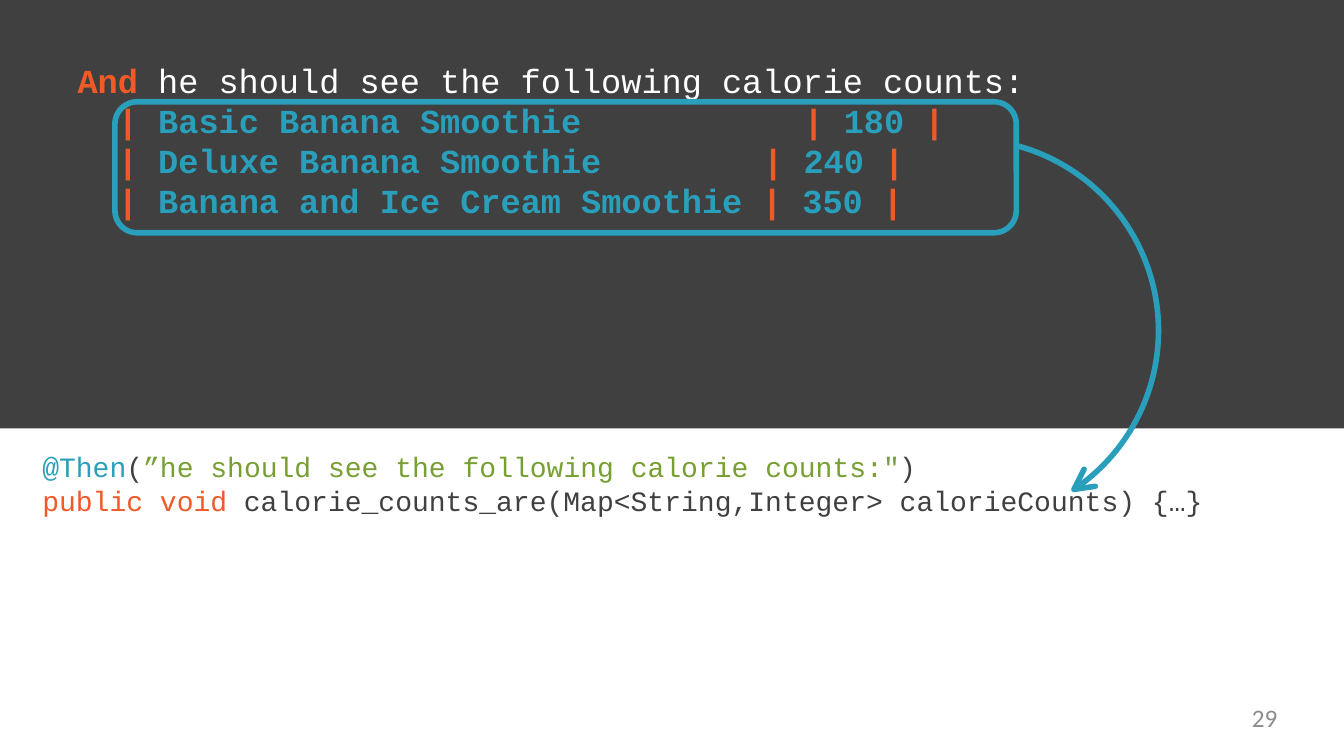
"""Builds a slide that maps a calorie table in a scenario to its step definition."""
from dataclasses import dataclass
from math import cos, radians, sin

from lxml import etree
from pptx import Presentation
from pptx.dml.color import RGBColor
from pptx.enum.shapes import MSO_SHAPE
from pptx.enum.text import PP_ALIGN
from pptx.oxml.ns import qn
from pptx.util import Inches, Pt

RECTANGLE = MSO_SHAPE.RECTANGLE
ROUNDED_RECTANGLE = MSO_SHAPE.ROUNDED_RECTANGLE
LEFT = PP_ALIGN.LEFT
RIGHT = PP_ALIGN.RIGHT


@dataclass(frozen=True)
class Theme:
    dark: str = "404040"
    white: str = "FFFFFF"
    orange: str = "EF5A28"
    teal: str = "2A9FBB"
    green: str = "779F31"
    grey: str = "8C8C8C"
    code_font: str = "Courier New"
    number_font: str = "Calibri"
    scenario_size: float = 24
    code_size: float = 20
    number_size: float = 18
    line_width: float = 4


@dataclass(frozen=True)
class Span:
    text: str
    color: str
    bold: bool = False


@dataclass(frozen=True)
class Line:
    spans: list[Span]
    indent: float = 0.01
    tab: float | None = None


@dataclass(frozen=True)
class Box:
    left: float
    top: float
    width: float
    height: float


THEME = Theme()


def calorie_row(name: str, gap: str, count: int, **layout) -> Line:
    """Return one row of the scenario's calorie table."""
    bar, end = Span("| ", THEME.orange, True), Span("|", THEME.orange, True)
    return Line([bar, Span(name + gap, THEME.teal, True), bar,
                 Span(f"{count} ", THEME.teal, True), end], **layout)


def add_text(slide, box: Box, lines: list[Line], *, size: float, font: str = THEME.code_font,
             align=LEFT, inset: float = 0.01, spacing: int = -4) -> None:
    """Add a text box holding coloured lines."""
    shape = slide.shapes.add_textbox(*map(Inches, (box.left, box.top, box.width, box.height)))
    frame = shape.text_frame
    frame.word_wrap = True
    frame.margin_left = frame.margin_right = frame.margin_bottom = 0
    frame.margin_top = Inches(inset)
    for index, line in enumerate(lines):
        paragraph = frame.add_paragraph() if index else frame.paragraphs[0]
        paragraph.alignment = align
        properties = paragraph._p.get_or_add_pPr()
        properties.set("marL", str(Inches(line.indent)))
        if line.tab:
            tabs = etree.SubElement(properties, qn("a:tabLst"))
            etree.SubElement(tabs, qn("a:tab"), pos=str(Inches(line.tab)), algn="l")
        for span in line.spans:
            run = paragraph.add_run()
            run.text = span.text
            run.font.name = font
            run.font.size = Pt(size)
            run.font.bold = span.bold
            run.font.color.rgb = RGBColor.from_string(span.color)
            run._r.get_or_add_rPr().set("spc", str(spacing))


def style_outline(shape) -> None:
    """Give a shape the teal outline and no fill."""
    shape.shadow.inherit = False
    shape.fill.background()
    shape.line.color.rgb = RGBColor.from_string(THEME.teal)
    shape.line.width = Pt(THEME.line_width)


def add_background(slide, box: Box) -> None:
    """Add the dark band behind the scenario."""
    shape = slide.shapes.add_shape(
        RECTANGLE, *map(Inches, (box.left, box.top, box.width, box.height)))
    shape.shadow.inherit = False
    shape.fill.solid()
    shape.fill.fore_color.rgb = RGBColor.from_string(THEME.dark)
    shape.line.fill.background()


def add_table_frame(slide, box: Box) -> None:
    """Add the rounded frame around the calorie table."""
    shape = slide.shapes.add_shape(
        ROUNDED_RECTANGLE, *map(Inches, (box.left, box.top, box.width, box.height)))
    shape.adjustments[0] = 0.17
    style_outline(shape)


def add_curved_arrow(slide, center: tuple[float, float], radius: float,
                     start: int, end: int) -> None:
    """Add a circular arrow with an open head at its end angle."""
    arc = [(Inches(center[0] + radius * cos(radians(angle))),
            Inches(center[1] + radius * sin(radians(angle))))
           for angle in range(start, end + 1)]
    tip_x, tip_y = arc[-1]
    upper_barb = (tip_x + Inches(0.1), tip_y - Inches(0.2))
    lower_barb = (tip_x + Inches(0.21), tip_y - Inches(0.03))
    builder = slide.shapes.build_freeform(*arc[0])
    builder.add_line_segments(arc[1:], close=False)
    builder.move_to(*upper_barb)
    builder.add_line_segments([(tip_x, tip_y), lower_barb], close=False)
    shape = builder.convert_to_shape()
    style_outline(shape)
    shape.line._get_or_add_ln().set("cap", "rnd")


def main() -> None:
    """Build and save the slide."""
    presentation = Presentation()
    presentation.slide_width, presentation.slide_height = Inches(13.33), Inches(7.5)
    slide = presentation.slides.add_slide(presentation.slide_layouts[6])

    add_background(slide, Box(0, 0, 13.33, 4.25))
    add_text(slide, Box(0.76, 0.58, 9.42, 0.83), [
        Line([Span("And ", THEME.orange, True),
              Span("he should see the following calorie counts:", THEME.white)]),
        calorie_row("Basic Banana Smoothie", "\t", 180, indent=0.41, tab=6.8),
    ], size=THEME.scenario_size)
    add_text(slide, Box(1.16, 1.38, 7.82, 0.83), [
        calorie_row("Deluxe Banana Smoothie", "\t", 240, tab=6.4),
        calorie_row("Banana and Ice Cream Smoothie", " ", 350),
    ], size=THEME.scenario_size)
    add_text(slide, Box(0.41, 4.45, 11.53, 0.7), [
        Line([Span("@Then", THEME.teal), Span("(", THEME.dark),
              Span("”he should see the following calorie counts:\"", THEME.green),
              Span(")", THEME.dark)]),
        Line([Span("public void ", THEME.orange),
              Span("calorie_counts_are(Map<String,Integer> calorieCounts) {…}", THEME.dark)]),
    ], size=THEME.code_size)
    add_table_frame(slide, Box(1.14, 1.01, 8.94, 1.3))
    add_curved_arrow(slide, center=(9.59, 3.28), radius=1.9, start=-75, end=56)
    add_text(slide, Box(9.6, 6.97, 3.07, 0.38), [Line([Span("29", THEME.grey)], indent=0)],
             size=THEME.number_size, font=THEME.number_font, align=RIGHT, inset=0, spacing=0)

    presentation.save("out.pptx")


if __name__ == "__main__":
    main()
